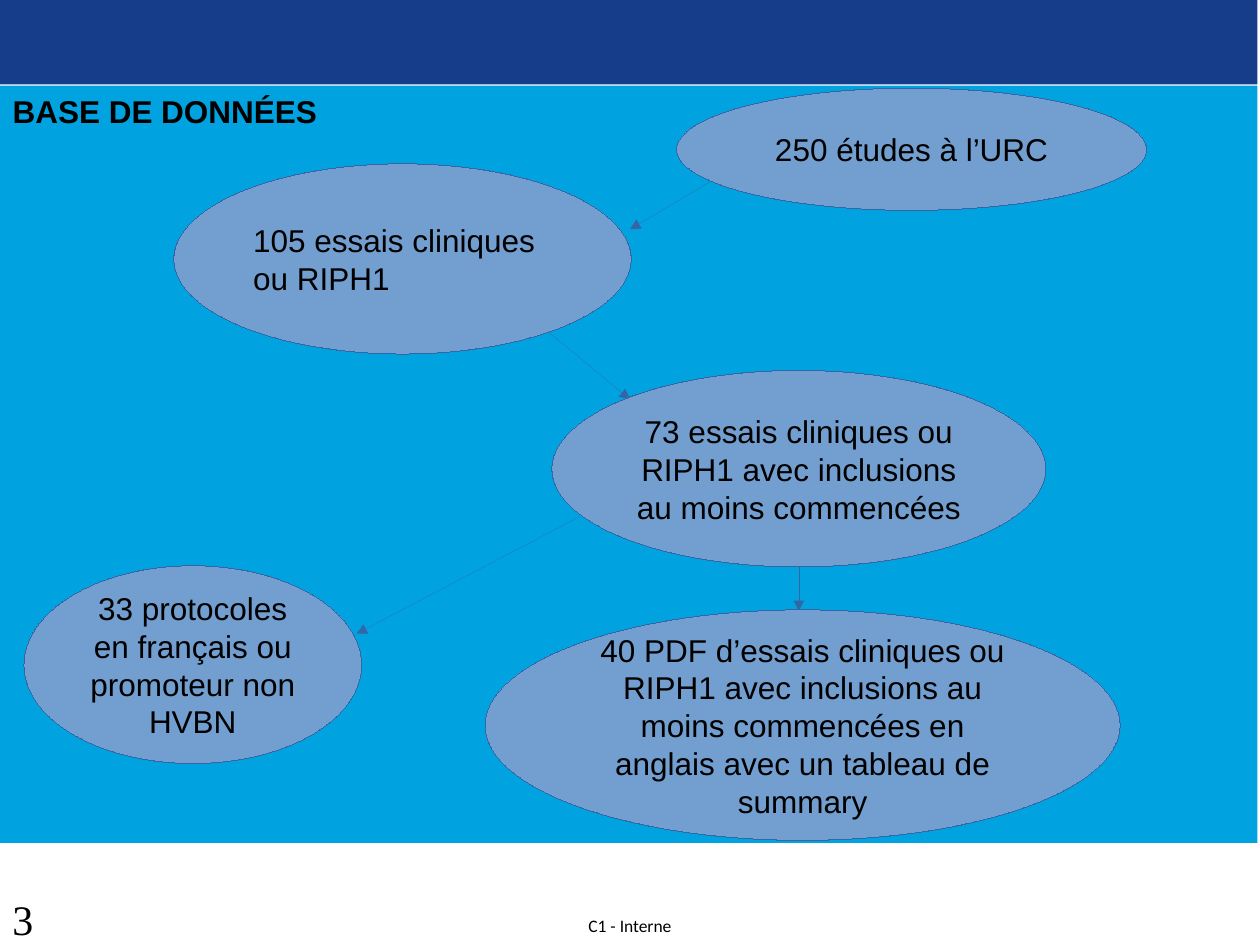
from lxml.etree import SubElement
from pptx import Presentation
from pptx.dml.color import RGBColor
from pptx.enum.shapes import MSO_CONNECTOR, MSO_SHAPE
from pptx.enum.text import MSO_ANCHOR, PP_ALIGN
from pptx.oxml.ns import qn
from pptx.util import Inches, Pt


def paint(fill_format, colour):
    fill_format.solid()
    fill_format.fore_color.rgb = RGBColor.from_string(colour)


def write(frame, text, size, font="Arial", align=PP_ALIGN.LEFT, bold=False):
    """Put one formatted black paragraph into a text frame."""
    frame.text = text
    paragraph = frame.paragraphs[0]
    paragraph.alignment = align
    paragraph.font.name = font
    paragraph.font.size = Pt(size)
    paragraph.font.bold = bold
    paint(paragraph.font.fill, "000000")


deck = Presentation()
deck.slide_width, deck.slide_height = Inches(10), Inches(7.5)
page = deck.slides.add_slide(deck.slide_layouts[5])

# Background bands, moved behind the title
bands = [(0.68, 6.01, "00A2E0"), (0, 0.67, "153D8A")]
for index, (top, height, colour) in enumerate(bands):
    band = page.shapes.add_shape(
        MSO_SHAPE.RECTANGLE, 0, Inches(top), Inches(9.98), Inches(height))
    band.shadow.inherit = False
    paint(band.fill, colour)
    band.line.fill.background()
    page.shapes._spTree.insert(2 + index, band._element)

# Title
title = page.shapes.title
title.left, title.top = Inches(0), Inches(0.68)
title.width, title.height = Inches(2.94), Inches(0.38)
title.text_frame.vertical_anchor = MSO_ANCHOR.TOP
write(title.text_frame, "BASE DE DONNÉES", 18, bold=True)

# Arrows between the selection steps
arrows = [
    (5.64, 1.44, 5, 1.82),
    (4.36, 2.64, 5, 3.17),
    (6.34, 4.5, 6.34, 4.85),
    (4.6, 4.1, 2.83, 5.03),
]
for ends in arrows:
    arrow = page.shapes.add_connector(
        MSO_CONNECTOR.STRAIGHT, *[Inches(value) for value in ends])
    paint(arrow.line.fill, "3465A4")
    outline = arrow.line._get_or_add_ln()
    outline.set("w", "0")  # line.width = 0 would fall back to the theme
    SubElement(outline, qn("a:tailEnd"), type="triangle")
    SubElement(arrow._element.spPr, qn("a:effectLst"))

# Selection steps
steps = [
    (5.37, 0.7, 3.73, 0.97, PP_ALIGN.CENTER, "250 études à l’URC"),
    (1.38, 1.3, 3.63, 1.51, PP_ALIGN.LEFT, "105 essais cliniques ou RIPH1"),
    (4.38, 2.94, 3.92, 1.56, PP_ALIGN.CENTER,
     "73 essais cliniques ou RIPH1 avec inclusions au moins commencées"),
    (0.19, 4.49, 2.68, 1.57, PP_ALIGN.CENTER,
     "33 protocoles en français ou promoteur non HVBN"),
    (3.85, 4.84, 5.04, 1.83, PP_ALIGN.CENTER,
     "40 PDF d’essais cliniques ou RIPH1 avec inclusions au moins "
     "commencées en anglais avec un tableau de summary"),
]
for *bounds, align, text in steps:
    ellipse = page.shapes.add_shape(
        MSO_SHAPE.OVAL, *[Inches(value) for value in bounds])
    ellipse.shadow.inherit = False
    paint(ellipse.fill, "729FCF")
    paint(ellipse.line.fill, "3465A4")
    ellipse.line._get_or_add_ln().set("w", "0")
    ellipse.text_frame.vertical_anchor = MSO_ANCHOR.MIDDLE
    write(ellipse.text_frame, text, 18, align=align)

# Footer
number = page.shapes.add_textbox(0, Inches(7.04), Inches(0.9), Inches(0.43))
number.text_frame.word_wrap = True
write(number.text_frame, "3", 24, font="Times New Roman")

label = page.shapes.add_textbox(
    Inches(4.67), Inches(7.26), Inches(0.68), Inches(0.17))
frame = label.text_frame
frame.margin_left = frame.margin_right = Inches(0)
frame.margin_top = frame.margin_bottom = Inches(0)
write(frame, "C1 - Interne", 10, font="Calibri")

deck.save("out.pptx")
